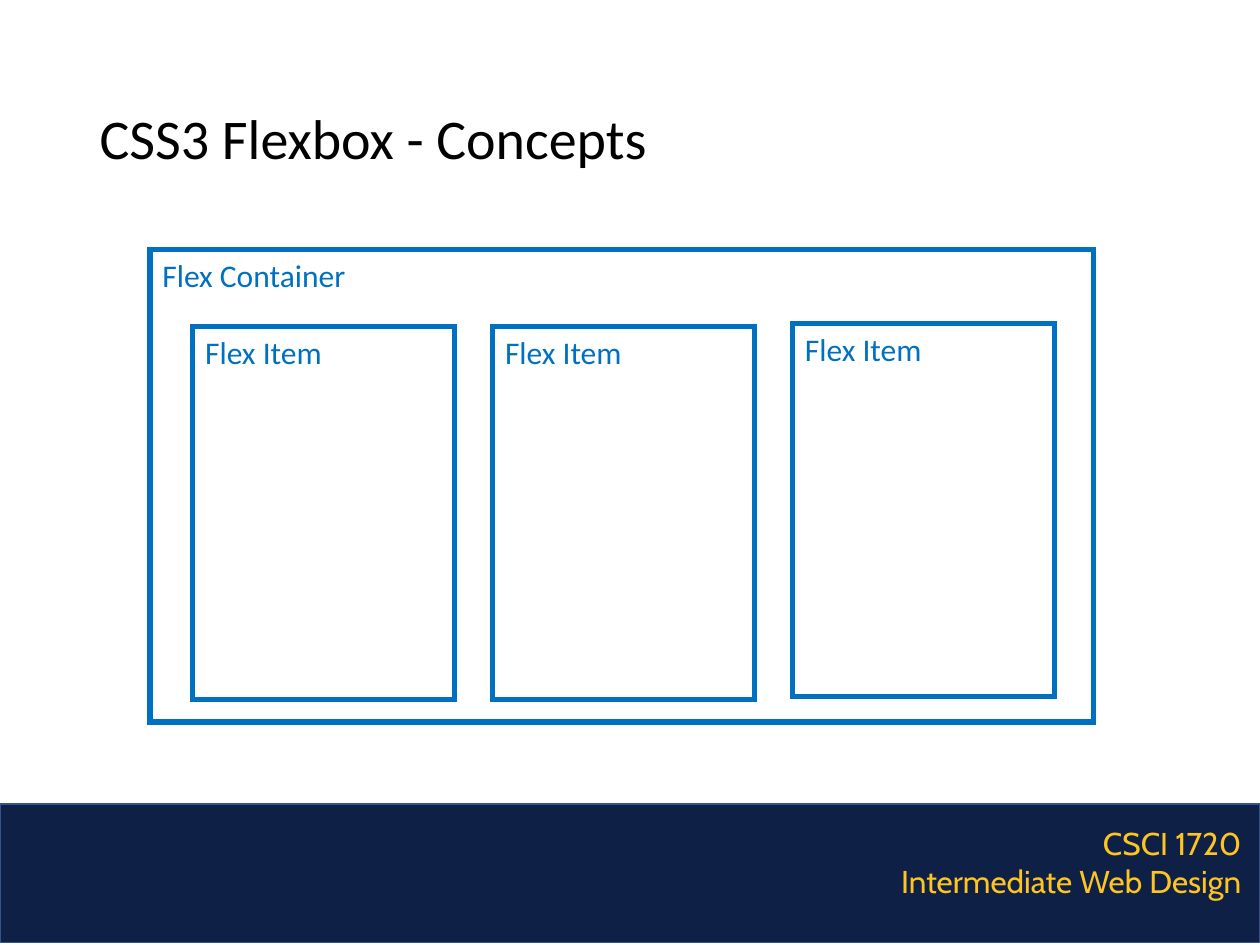
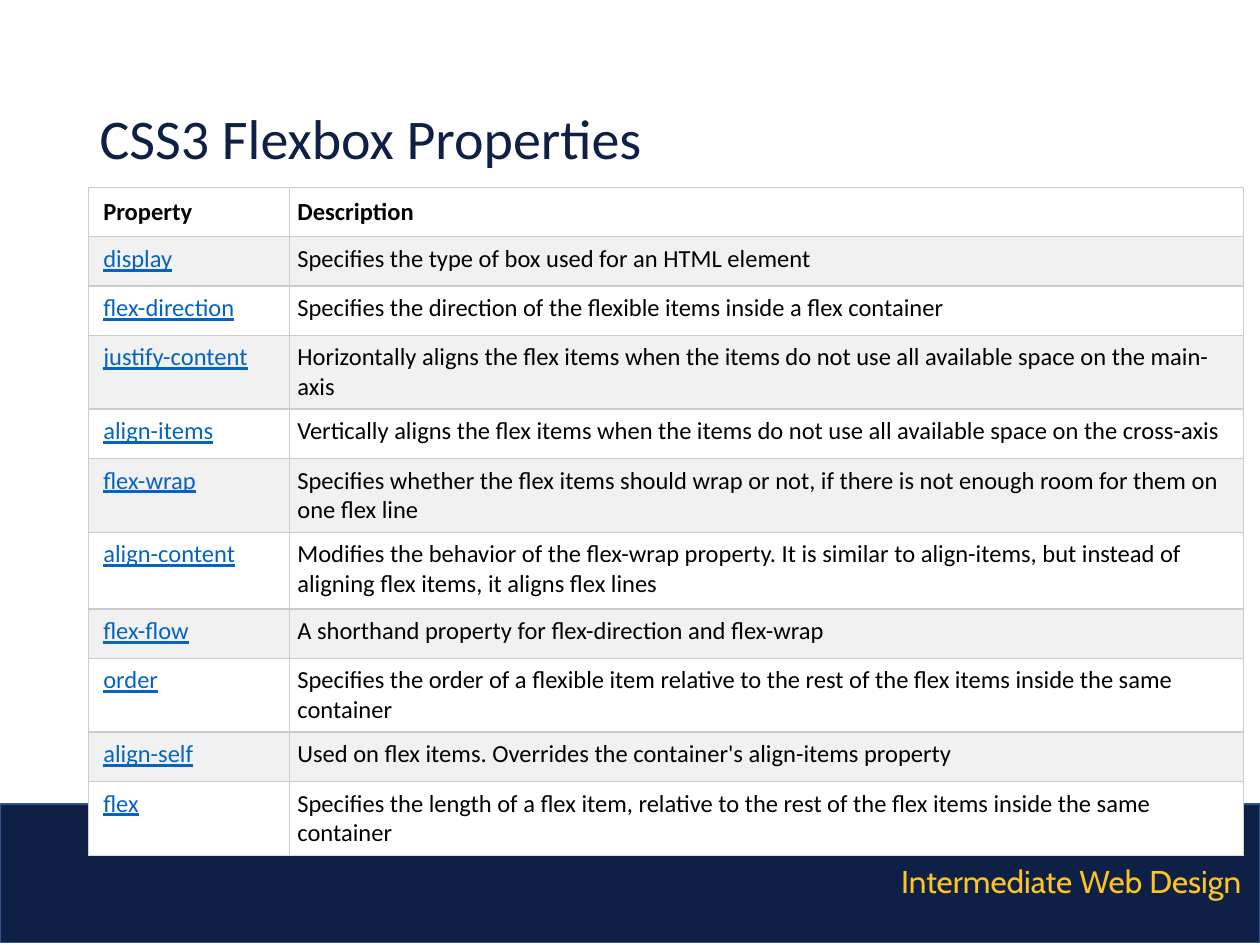
from dataclasses import dataclass

import lxml.etree
import pptx
import pptx.dml.color
import pptx.enum.shapes
import pptx.enum.text
import pptx.oxml.ns
import pptx.util
from pptx.util import Inches

Align = pptx.enum.text.PP_ALIGN
Anchor = pptx.enum.text.MSO_ANCHOR


@dataclass(frozen=True)
class Theme:
    navy: str = "0E2045"
    band_edge: str = "325491"
    gold: str = "FEC422"
    black: str = "000000"
    white: str = "FFFFFF"
    box_blue: str = "0070C0"
    link_blue: str = "0563C1"
    stripe: str = "F1F1F1"
    grid: str = "CCCCCC"
    grid_bottom: str = "DDDDDD"
    body_font: str = "Calibri"
    footer_font: str = "Cabin"
    title_size: int = 32
    label_size: int = 18
    table_size: int = 14
    box_line: float = 3
    band_line: float = 1
    grid_line: float = 0.75


@dataclass(frozen=True)
class Box:
    left: float
    top: float
    width: float
    height: float
    label: str = ""

    def lengths(self) -> tuple:
        return tuple(Inches(v) for v in (self.left, self.top, self.width, self.height))


@dataclass(frozen=True)
class Property:
    name: str
    description: str


THEME = Theme()
TITLE = Box(0.69, 0.4, 8.62, 1.45)
BAND = Box(0, 6.38, 10, 1.1)
COURSE = Box(6.05, 6.49, 3.9, 0.71)
COURSE_LINES = ("CSCI 1720", "Intermediate Web Design")

CONTAINER = Box(1.19, 1.98, 7.49, 3.75, "Flex Container")
ITEM_LEFT, ITEM_PITCH = 1.53, 2.38
ITEM_TOPS = (2.59, 2.59, 2.57)
ITEMS = [
    Box(ITEM_LEFT + i * ITEM_PITCH, top, 2.08, 2.96, "Flex Item")
    for i, top in enumerate(ITEM_TOPS)
]

TABLE = Box(0.7, 1.49, 9.17, 4.51)
COLUMN_WIDTHS = (1.6, 7.57)
ROW_HEIGHT = 0.39
TALL_ROWS = {"align-content": 0.61}
CELL_INSET, NAME_INSET = 0.06, 0.12
PROPERTIES = (
    Property("Property", "Description"),
    Property("display", "Specifies the type of box used for an HTML element"),
    Property("flex-direction", "Specifies the direction of the flexible items inside a flex container"),
    Property("justify-content", "Horizontally aligns the flex items when the items do not use all "
             "available space on the main-axis"),
    Property("align-items", "Vertically aligns the flex items when the items do not use all "
             "available space on the cross-axis"),
    Property("flex-wrap", "Specifies whether the flex items should wrap or not, if there is not "
             "enough room for them on one flex line"),
    Property("align-content", "Modifies the behavior of the flex-wrap property. It is similar to "
             "align-items, but instead of aligning flex items, it aligns flex lines"),
    Property("flex-flow", "A shorthand property for flex-direction and flex-wrap"),
    Property("order", "Specifies the order of a flexible item relative to the rest of the flex "
             "items inside the same container"),
    Property("align-self", "Used on flex items. Overrides the container's align-items property"),
    Property("flex", "Specifies the length of a flex item, relative to the rest of the flex "
             "items inside the same container"),
)


def rgb(color: str) -> pptx.dml.color.RGBColor:
    return pptx.dml.color.RGBColor.from_string(color)


def write(frame, *lines: str, color: str, size: int, font: str = THEME.body_font,
          bold: bool = False, underline: bool = False, align=Align.LEFT,
          anchor=Anchor.TOP, spacing: float = 1.0) -> None:
    frame.word_wrap = True
    frame.vertical_anchor = anchor
    paragraph = frame.paragraphs[0]
    paragraph.alignment = align
    paragraph.line_spacing = spacing
    for i, line in enumerate(lines):
        if i:
            paragraph.add_line_break()
        run = paragraph.add_run()
        run.text = line
        run.font.name = font
        run.font.size = pptx.util.Pt(size)
        run.font.bold = bold
        run.font.underline = underline
        run.font.color.rgb = rgb(color)


def add_rectangle(slide, box: Box, line: str, weight: float, fill: str = ""):
    rectangle = slide.shapes.add_shape(
        pptx.enum.shapes.MSO_SHAPE.RECTANGLE, *box.lengths())
    rectangle.shadow.inherit = False
    if fill:
        rectangle.fill.solid()
        rectangle.fill.fore_color.rgb = rgb(fill)
    else:
        rectangle.fill.background()
    rectangle.line.color.rgb = rgb(line)
    rectangle.line.width = pptx.util.Pt(weight)
    outline = rectangle.line._get_or_add_ln()
    lxml.etree.SubElement(outline, pptx.oxml.ns.qn("a:miter"), lim="800000")
    return rectangle


def add_flex_box(slide, box: Box) -> None:
    rectangle = add_rectangle(slide, box, THEME.box_blue, THEME.box_line)
    write(rectangle.text_frame, box.label, color=THEME.box_blue, size=THEME.label_size)


def add_course_slide(deck, title: str, title_color: str):
    slide = deck.slides.add_slide(deck.slide_layouts.get_by_name("Title Only"))
    add_rectangle(slide, BAND, THEME.band_edge, THEME.band_line, THEME.navy)
    course = slide.shapes.add_textbox(*COURSE.lengths())
    write(course.text_frame, *COURSE_LINES, color=THEME.gold, size=THEME.label_size,
          font=THEME.footer_font, align=Align.RIGHT)
    heading = slide.shapes.title
    heading.left, heading.top, heading.width, heading.height = TITLE.lengths()
    write(heading.text_frame, title, color=title_color, size=THEME.title_size,
          anchor=Anchor.MIDDLE, spacing=0.9)
    return slide


def set_borders(cell, bottom: str) -> None:
    qn = pptx.oxml.ns.qn
    properties = cell._tc.get_or_add_tcPr()
    for side in "LRTB":
        border = lxml.etree.SubElement(
            properties, qn(f"a:ln{side}"), w=str(pptx.util.Pt(THEME.grid_line)))
        fill = lxml.etree.SubElement(border, qn("a:solidFill"))
        color = bottom if side == "B" else THEME.grid
        lxml.etree.SubElement(fill, qn("a:srgbClr"), val=color)


def fill_cell(cell, text: str, row: int, is_name: bool) -> None:
    is_header = row == 0
    is_link = is_name and not is_header
    is_last = row == len(PROPERTIES) - 1
    set_borders(cell, THEME.grid_bottom if is_last else THEME.grid)
    cell.fill.solid()
    cell.fill.fore_color.rgb = rgb(THEME.stripe if row % 2 else THEME.white)
    cell.margin_left = Inches(NAME_INSET if is_name else CELL_INSET)
    cell.margin_top = cell.margin_right = cell.margin_bottom = Inches(CELL_INSET)
    write(cell.text_frame, text, color=THEME.link_blue if is_link else THEME.black,
          size=THEME.table_size, bold=is_header, underline=is_link)
    cell.vertical_anchor = Anchor.MIDDLE if is_header else Anchor.TOP


def add_property_table(slide) -> None:
    table = slide.shapes.add_table(
        len(PROPERTIES), len(COLUMN_WIDTHS), *TABLE.lengths()).table
    table.horz_banding = False
    for column, width in zip(table.columns, COLUMN_WIDTHS):
        column.width = Inches(width)
    for row, entry in enumerate(PROPERTIES):
        table.rows[row].height = Inches(TALL_ROWS.get(entry.name, ROW_HEIGHT))
        fill_cell(table.cell(row, 0), entry.name, row, True)
        fill_cell(table.cell(row, 1), entry.description, row, False)


def main() -> None:
    deck = pptx.Presentation()
    deck.slide_width, deck.slide_height = Inches(10), Inches(7.5)

    concepts = add_course_slide(deck, "CSS3 Flexbox - Concepts", THEME.black)
    for box in (CONTAINER, *ITEMS):
        add_flex_box(concepts, box)

    properties = add_course_slide(deck, "CSS3 Flexbox Properties", THEME.navy)
    add_property_table(properties)

    deck.save("out.pptx")


if __name__ == "__main__":
    main()
